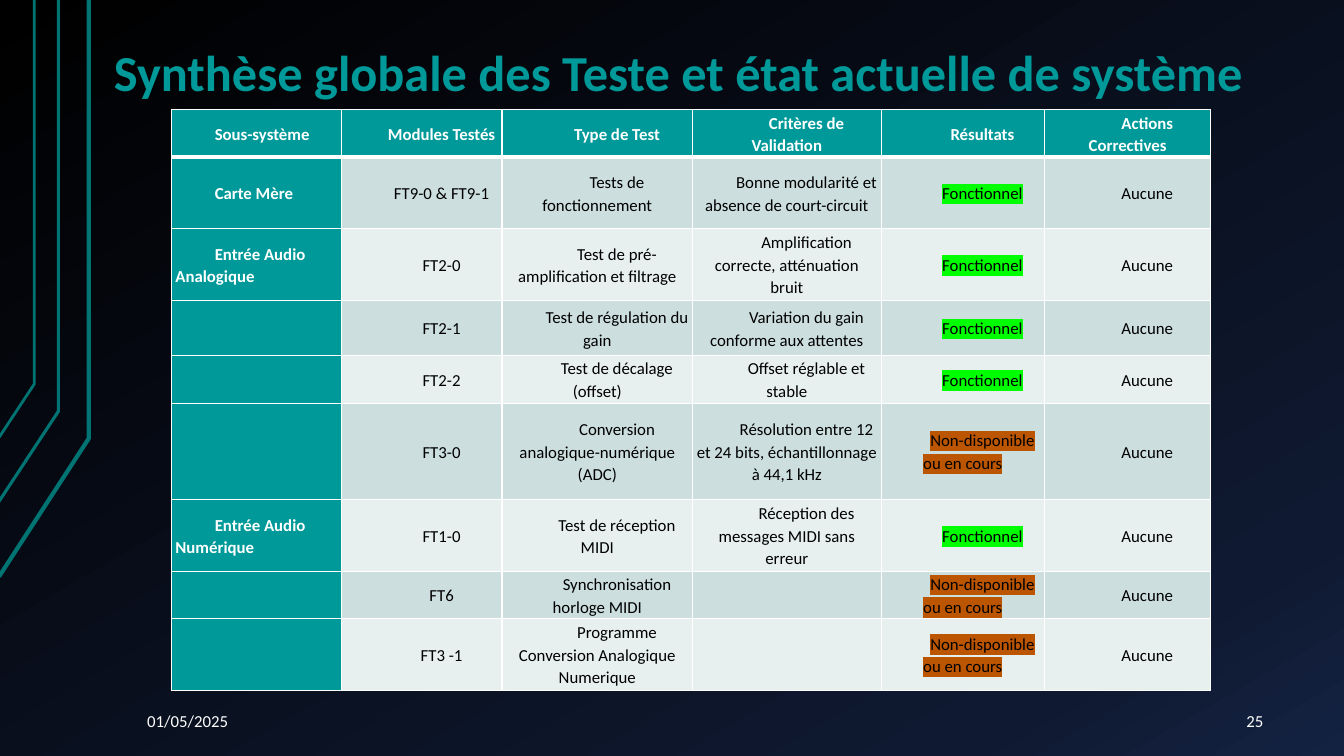
from lxml import etree
from pptx import Presentation
from pptx.dml.color import RGBColor
from pptx.enum.text import MSO_ANCHOR, PP_ALIGN
from pptx.oxml import parse_xml
from pptx.oxml.ns import nsdecls, qn
from pptx.util import Inches, Pt

MIDDLE, BOTTOM = MSO_ANCHOR.MIDDLE, MSO_ANCHOR.BOTTOM
LEFT, CENTER, RIGHT = PP_ALIGN.LEFT, PP_ALIGN.CENTER, PP_ALIGN.RIGHT
FONT = "Calibri"
WHITE = RGBColor(0xFF, 0xFF, 0xFF)
BLACK = RGBColor(0x00, 0x00, 0x00)
TEAL = RGBColor(0x00, 0x99, 0x99)
DARK_TEAL = RGBColor(0x00, 0x73, 0x73)
BAND_DARK = RGBColor(0xCC, 0xDE, 0xDE)
BAND_LIGHT = RGBColor(0xE7, 0xEF, 0xEF)
GREEN = RGBColor(0x00, 0xFF, 0x00)
ORANGE = RGBColor(0xBC, 0x55, 0x00)
MIDNIGHT = RGBColor(0x0F, 0x19, 0x31)
NAVY = RGBColor(0x14, 0x22, 0x42)

BACKGROUND_STOPS = [(0, BLACK), (85, MIDNIGHT), (100, NAVY)]
# Points of each rail, and its line width
RAILS = [
    ([(-0.01, 5.72), (0.88, 4.35), (0.88, 0)], 3),
    ([(-0.02, 4.99), (0.58, 4.08), (0.58, 0)], 2.25),
    ([(-0.01, 4.34), (0.34, 3.81), (0.34, 0)], 2),
]

DONE, PENDING = "Fonctionnel", "Non-disponible ou en cours"
HIGHLIGHTS = {DONE: GREEN, PENDING: ORANGE}
COLUMN_WIDTHS = [1.69, 1.59, 1.89, 1.87, 1.62, 1.65]
ROW_HEIGHTS = [0.47, 0.71, 0.71, 0.55, 0.47, 0.96, 0.71, 0.47, 0.71]
HEADINGS = ["Sous-système", "Modules Testés", "Type de Test",
            "Critères de Validation", "Résultats", "Actions Correctives"]
TESTS = [
    ["Carte Mère", "FT9-0 & FT9-1", "Tests de fonctionnement",
     "Bonne modularité et absence de court-circuit", DONE],
    ["Entrée Audio Analogique", "FT2-0", "Test de pré-amplification et filtrage",
     "Amplification correcte, atténuation bruit", DONE],
    ["", "FT2-1", "Test de régulation du gain",
     "Variation du gain conforme aux attentes", DONE],
    ["", "FT2-2", "Test de décalage (offset)", "Offset réglable et stable", DONE],
    ["", "FT3-0", "Conversion analogique-numérique (ADC)",
     "Résolution entre 12 et 24 bits, échantillonnage à 44,1 kHz", PENDING],
    ["Entrée Audio Numérique", "FT1-0", "Test de réception MIDI",
     "Réception des messages MIDI sans erreur", DONE],
    ["", "FT6", "Synchronisation horloge MIDI", "", PENDING],
    ["", "FT3 -1", "Programme Conversion Analogique Numerique", "", PENDING],
]


def style_font(font, size, color, bold=False):
    font.size, font.bold, font.name = Pt(size), bold, FONT
    font.color.rgb = color


def set_margins(text_frame):
    text_frame.word_wrap = True
    text_frame.margin_left = text_frame.margin_right = Inches(0.13)
    text_frame.margin_top = text_frame.margin_bottom = Inches(0.07)


def paint_background(slide):
    fill = slide.background.fill
    fill.gradient()
    fill.gradient_angle = 300
    stop_list = slide.background._cSld.find(".//" + qn("a:gsLst"))
    for stop in list(stop_list):
        stop_list.remove(stop)
    for position, color in BACKGROUND_STOPS:
        stop = etree.SubElement(stop_list, qn("a:gs"), pos=str(position * 1000))
        etree.SubElement(stop, qn("a:srgbClr"), val=str(color))


def add_rails(slide):
    for points, width in RAILS:
        corners = [(Inches(x), Inches(y)) for x, y in points]
        builder = slide.shapes.build_freeform(*corners[0])
        builder.add_line_segments(corners[1:], close=False)
        rail = builder.convert_to_shape()
        rail.shadow.inherit = False
        rail.fill.background()
        rail.line.color.rgb = DARK_TEAL
        rail.line.width = Pt(width)


def place_title(slide, text, left, top, width, height):
    title = slide.shapes.title
    title.left, title.top = Inches(left), Inches(top)
    title.width, title.height = Inches(width), Inches(height)
    text_frame = title.text_frame
    set_margins(text_frame)
    text_frame.vertical_anchor = BOTTOM
    text_frame.text = text
    paragraph = text_frame.paragraphs[0]
    paragraph.alignment = LEFT
    paragraph.line_spacing = 0.9
    style_font(paragraph.runs[0].font, 36, TEAL, True)


def add_footer_text(slide, text, left, top, width, height, alignment):
    box = slide.shapes.add_textbox(Inches(left), Inches(top),
                                   Inches(width), Inches(height))
    text_frame = box.text_frame
    set_margins(text_frame)
    text_frame.vertical_anchor = MIDDLE
    text_frame.text = text
    text_frame.paragraphs[0].alignment = alignment
    style_font(text_frame.paragraphs[0].runs[0].font, 12, WHITE)


def set_borders(cell, row):
    # The rule under the heading row is thicker
    widths = {"lnL": 1, "lnR": 1, "lnT": 3 if row == 1 else 1,
              "lnB": 3 if row == 0 else 1}
    properties = cell._tc.get_or_add_tcPr()
    for side, width in widths.items():
        properties.append(parse_xml(
            f'<a:{side} {nsdecls("a")} w="{Pt(width)}"><a:solidFill>'
            f'<a:srgbClr val="{WHITE}"/></a:solidFill></a:{side}>'))


def highlight(run, color):
    mark = parse_xml(f'<a:highlight {nsdecls("a")}><a:srgbClr val="{color}"/></a:highlight>')
    run._r.get_or_add_rPr().find(qn("a:solidFill")).addnext(mark)


def fill_cell(cell, text, row, column):
    heading = row == 0 or column == 0
    set_borders(cell, row)
    cell.fill.solid()
    cell.fill.fore_color.rgb = TEAL if heading else BAND_DARK if row % 2 else BAND_LIGHT
    cell.vertical_anchor = MIDDLE
    cell.margin_left = cell.margin_right = Inches(0.04)
    cell.margin_top = cell.margin_bottom = 0
    cell.text_frame.text = text
    paragraph = cell.text_frame.paragraphs[0]
    paragraph.alignment = CENTER if column else LEFT
    paragraph.line_spacing = 1.1
    paragraph.space_after = Pt(5.6)
    properties = paragraph._p.get_or_add_pPr()
    properties.set("marL", "0")
    properties.set("indent", str(Inches(0.39)))
    for run in paragraph.runs:
        style_font(run.font, 12, WHITE if heading else BLACK, heading)
        if text in HIGHLIGHTS:
            highlight(run, HIGHLIGHTS[text])


def add_test_table(slide, left, top, width, height):
    rows = [HEADINGS] + [test + ["Aucune"] for test in TESTS]
    table = slide.shapes.add_table(len(rows), len(HEADINGS), Inches(left), Inches(top),
                                   Inches(width), Inches(height)).table
    for column, column_width in zip(table.columns, COLUMN_WIDTHS):
        column.width = Inches(column_width)
    for row, row_height in zip(table.rows, ROW_HEIGHTS):
        row.height = Inches(row_height)
    for row, texts in enumerate(rows):
        for column, text in enumerate(texts):
            fill_cell(table.cell(row, column), text, row, column)


def main():
    presentation = Presentation()
    presentation.slide_width, presentation.slide_height = Inches(13.33), Inches(7.5)
    slide = presentation.slides.add_slide(presentation.slide_layouts[5])
    paint_background(slide)
    add_rails(slide)
    add_test_table(slide, 1.7, 1.09, 10.3, 5.77)
    add_footer_text(slide, "01/05/2025", 1.33, 6.95, 2.44, 0.4, LEFT)
    add_footer_text(slide, "25", 11.55, 6.95, 1.11, 0.4, RIGHT)
    place_title(slide, "Synthèse globale des Teste et état actuelle de système",
                1, -0.25, 11.66, 1.34)
    presentation.save("out.pptx")


if __name__ == "__main__":
    main()
